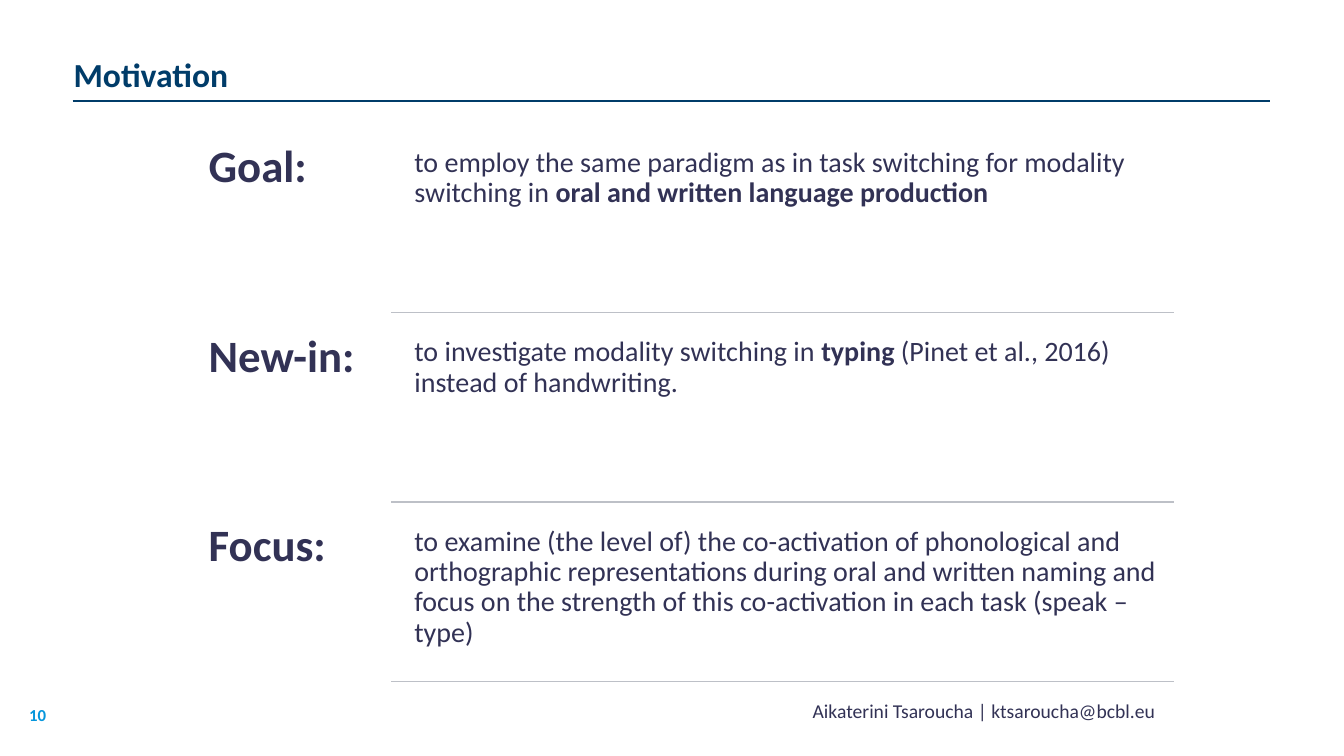
from pptx import Presentation
from pptx.dml.color import RGBColor
from pptx.enum.shapes import MSO_CONNECTOR
from pptx.enum.text import MSO_ANCHOR, PP_ALIGN
from pptx.oxml.ns import qn
from pptx.util import Inches, Pt
from lxml import etree

STRAIGHT = MSO_CONNECTOR.STRAIGHT
TOP, BOTTOM = MSO_ANCHOR.TOP, MSO_ANCHOR.BOTTOM
LEFT, CENTER = PP_ALIGN.LEFT, PP_ALIGN.CENTER

NAVY = RGBColor(0x00, 0x3C, 0x69)
INK = RGBColor(0x32, 0x32, 0x55)
BLUE = RGBColor(0x06, 0x96, 0xDC)
GREY = RGBColor(0xBD, 0xC0, 0xC7)
FONT = "Calibri"

TITLE = "Motivation"
PAGE = "10"
CONTACT = "Aikaterini Tsaroucha | ktsaroucha@bcbl.eu"
AIMS = [
    ("Goal:", [
        ("to employ the same paradigm as in task switching for modality switching in ", False),
        ("oral and written language production", True),
    ]),
    ("New-in:", [
        ("to investigate modality switching in ", False),
        ("typing ", True),
        ("(Pinet et al., 2016) instead of handwriting.", False),
    ]),
    ("Focus:", [
        ("to examine (the level of) the co-activation of phonological and orthographic "
         "representations during oral and written naming and focus on the strength of this "
         "co-activation in each task (speak – type)", False),
    ]),
]

FIRST_TOP, ROW_HEIGHT = 1.3, 1.88
LABEL_LEFT, LABEL_WIDTH = 1.94, 1.94
AIM_LEFT, AIM_WIDTH, AIM_HEIGHT, AIM_DROP = 4.03, 7.61, 1.71, 0.09
RULE_LEFT, RULE_RIGHT = 3.88, 11.64
RULE_YS = [3.1, 4.98, 6.76]


def write(shape, runs, size, color, anchor=TOP, align=LEFT, spacing=None, inset=None):
    """Fill a shape with one paragraph of (text, bold) runs."""
    frame = shape.text_frame
    frame.word_wrap = True
    frame.vertical_anchor = anchor
    if inset is not None:
        frame.margin_left = frame.margin_right = Inches(inset)
        frame.margin_top = frame.margin_bottom = Inches(inset)
    paragraph = frame.paragraphs[0]
    paragraph.alignment = align
    if spacing:
        paragraph.line_spacing = spacing
    for text, bold in runs:
        run = paragraph.add_run()
        run.text = text
        run.font.name = FONT
        run.font.size = Pt(size)
        run.font.bold = bold
        run.font.color.rgb = color


def add_box(slide, left, top, width, height):
    """Add a text box placed in inches."""
    return slide.shapes.add_textbox(Inches(left), Inches(top), Inches(width), Inches(height))


def add_rule(slide, left, right, y, color, weight):
    """Draw a flat horizontal line."""
    rule = slide.shapes.add_connector(STRAIGHT, Inches(left), Inches(y), Inches(right), Inches(y))
    rule.line.color.rgb = color
    rule.line.width = Pt(weight)
    etree.SubElement(rule.line._get_or_add_ln().getparent(), qn("a:effectLst"))


def main():
    """Build the motivation slide."""
    deck = Presentation()
    deck.slide_width, deck.slide_height = Inches(13.33), Inches(7.5)
    slide = deck.slides.add_slide(deck.slide_layouts[5])

    title = slide.shapes.title
    title.left, title.top = Inches(0.63), Inches(0.27)
    title.width, title.height = Inches(10.78), Inches(0.72)
    write(title, [(TITLE, True)], 24, NAVY, anchor=BOTTOM, spacing=0.9)
    add_rule(slide, 0.72, 12.6, 1, NAVY, 1.5)

    write(add_box(slide, 0.19, 6.94, 0.53, 0.4), [(PAGE, True)], 12, BLUE)
    write(add_box(slide, 7.47, 6.88, 4.58, 0.4), [(CONTACT, False)], 14, INK, align=CENTER)

    for row, ((label, aim), rule_y) in enumerate(zip(AIMS, RULE_YS)):
        top = FIRST_TOP + row * ROW_HEIGHT
        label_box = add_box(slide, LABEL_LEFT, top, LABEL_WIDTH, ROW_HEIGHT)
        write(label_box, [(label, True)], 32, INK, spacing=0.9, inset=0.13)
        aim_box = add_box(slide, AIM_LEFT, top + AIM_DROP, AIM_WIDTH, AIM_HEIGHT)
        write(aim_box, aim, 20, INK, spacing=0.9, inset=0.08)
        add_rule(slide, RULE_LEFT, RULE_RIGHT, rule_y, GREY, 1)

    deck.save("out.pptx")


if __name__ == "__main__":
    main()
